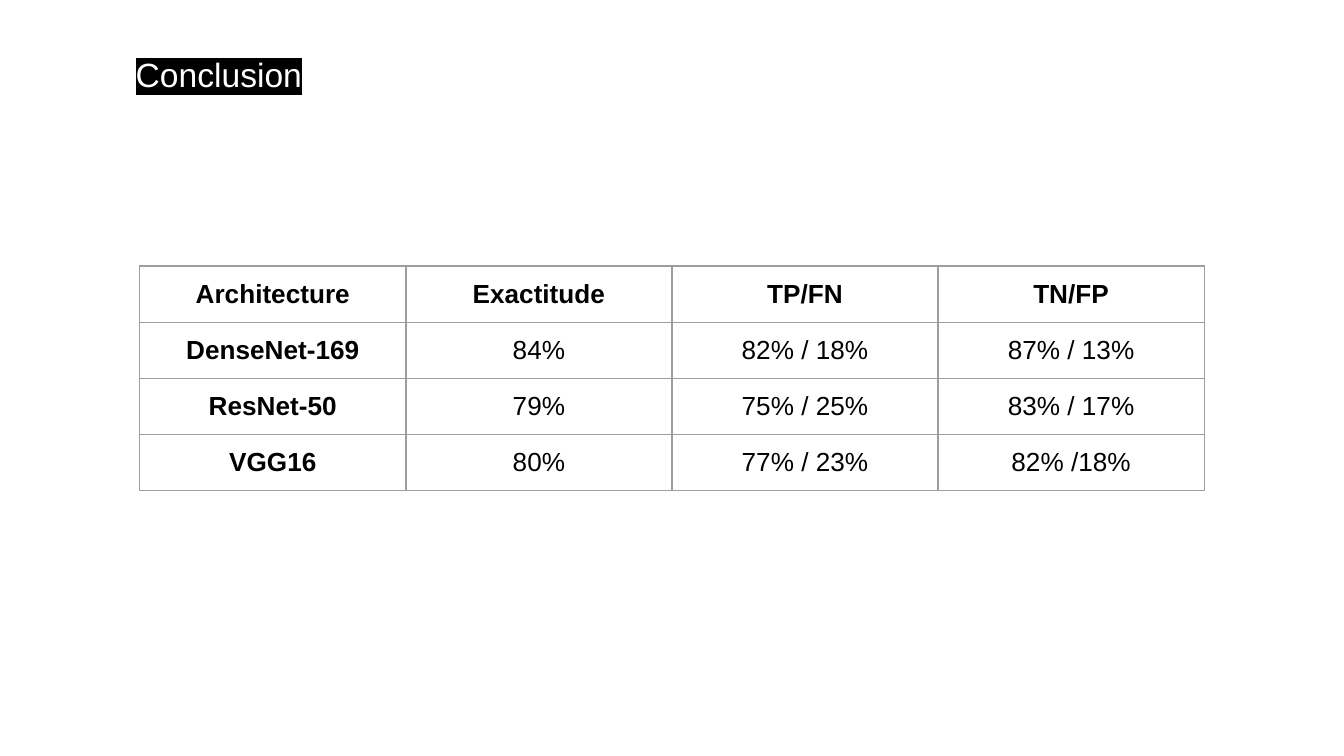
from dataclasses import dataclass

from lxml import etree
from pptx import Presentation
from pptx.dml.color import RGBColor
from pptx.enum import text
from pptx.oxml import ns
from pptx.util import Inches, Pt


@dataclass(frozen=True)
class Theme:
    font: str = "Arial"
    ink: str = "000000"
    paper: str = "FFFFFF"
    rule: str = "9E9E9E"
    heading_size: int = 18
    cell_size: int = 14
    rule_width: float = 0.75
    inset: float = 0.1


THEME = Theme()
RESULTS = [
    ("Architecture", "Exactitude", "TP/FN", "TN/FP"),
    ("DenseNet-169", "84%", "82% / 18%", "87% / 13%"),
    ("ResNet-50", "79%", "75% / 25%", "83% / 17%"),
    ("VGG16", "80%", "77% / 23%", "82% /18%"),
]


def apply(target, values):
    for name, value in values.items():
        setattr(target, name, value)


def add_color(parent, tag, color):
    holder = etree.SubElement(parent, ns.qn(tag))
    etree.SubElement(holder, ns.qn("a:srgbClr"), val=color)
    return holder


def margins(**changes):
    sides = dict.fromkeys(("left", "top", "right", "bottom"), THEME.inset)
    return {f"margin_{side}": Inches(size) for side, size in (sides | changes).items()}


def write(paragraph, words, size, color, bold=False):
    run = paragraph.add_run()
    run.text = words
    apply(run.font, {"name": THEME.font, "size": Pt(size), "bold": bold})
    run.font.color.rgb = RGBColor.from_string(color)
    return run


def add_heading(slide, words, left, top, width, height):
    heading = slide.shapes.add_textbox(*map(Inches, (left, top, width, height)))
    apply(heading.text_frame, {"word_wrap": True, **margins(left=0.6)})
    paragraph = heading.text_frame.paragraphs[0]
    paragraph.line_spacing = 1.15
    run = write(paragraph, words, THEME.heading_size, THEME.paper)
    properties = run.font._element
    highlight = add_color(properties, "a:highlight", THEME.ink)
    properties.find(ns.qn("a:solidFill")).addnext(highlight)


def add_borders(cell):
    properties = cell._tc.get_or_add_tcPr()
    for position, side in enumerate("LRTB"):
        border = etree.Element(ns.qn(f"a:ln{side}"), w=str(Pt(THEME.rule_width)))
        add_color(border, "a:solidFill", THEME.rule)
        properties.insert(position, border)


def add_results(slide, rows, left, top, width, height):
    frame = slide.shapes.add_table(
        len(rows), len(rows[0]), *map(Inches, (left, top, width, height))
    )
    apply(frame.table, {"first_row": False, "horz_banding": False})
    for row, values in enumerate(rows):
        for column, value in enumerate(values):
            cell = frame.table.cell(row, column)
            apply(cell, margins(bottom=0.08))
            cell.fill.background()
            add_borders(cell)
            paragraph = cell.text_frame.paragraphs[0]
            paragraph.alignment = text.PP_ALIGN.CENTER
            write(paragraph, value, THEME.cell_size, THEME.ink, row == 0 or column == 0)


def main():
    deck = Presentation()
    width = Inches(10)
    apply(deck, {"slide_width": width, "slide_height": width * 9 // 16})
    slide = deck.slides.add_slide(deck.slide_layouts[6])
    add_heading(slide, "Conclusion", 0.41, 0.26, 2.39, 0.63)
    add_results(slide, RESULTS, 1.04, 1.98, 7.92, 1.67)
    deck.save("out.pptx")


if __name__ == "__main__":
    main()
